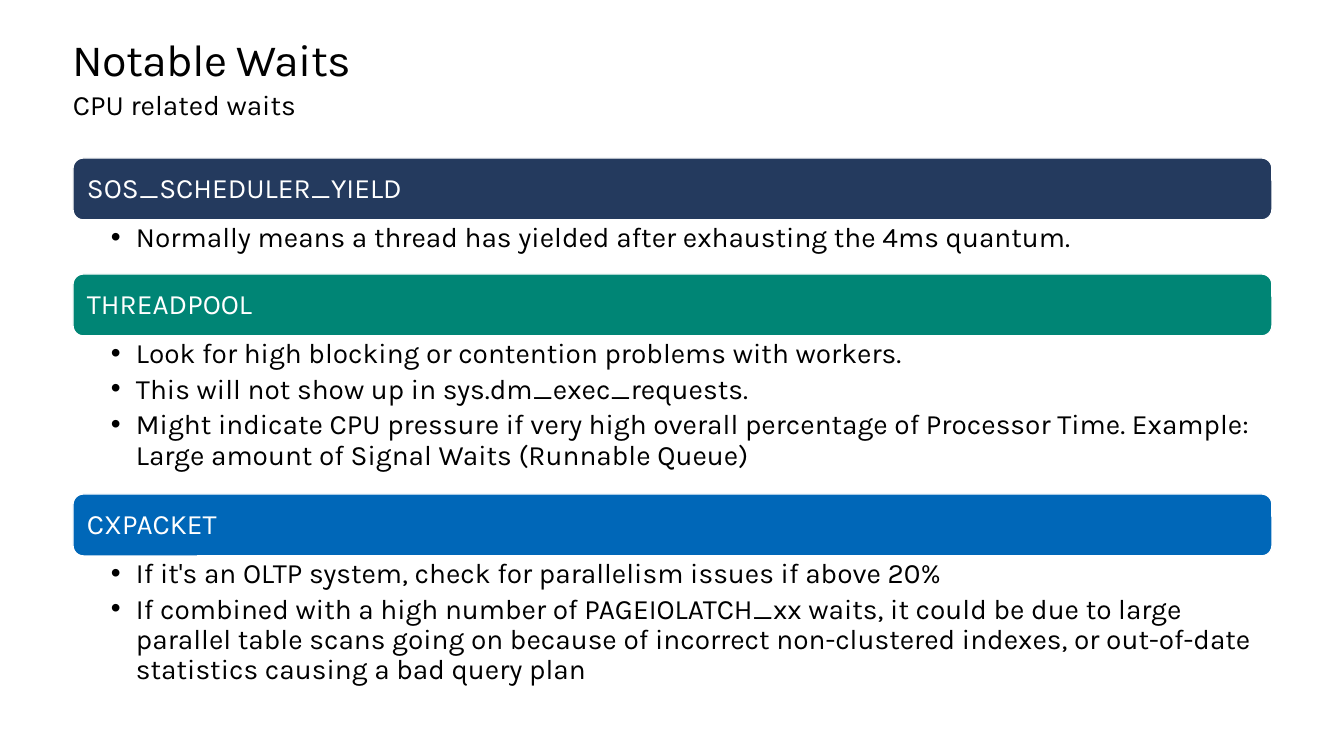
from dataclasses import dataclass

from lxml import etree
from pptx import Presentation
from pptx.dml.color import RGBColor
from pptx.enum.shapes import MSO_SHAPE
from pptx.enum.text import MSO_ANCHOR, MSO_AUTO_SIZE, PP_ALIGN
from pptx.oxml.ns import qn
from pptx.util import Pt

ROUND = MSO_SHAPE.ROUNDED_RECTANGLE
TOP, MIDDLE = MSO_ANCHOR.TOP, MSO_ANCHOR.MIDDLE
LEFT = PP_ALIGN.LEFT
FIXED = MSO_AUTO_SIZE.NONE
WIDE, HIGH = 1344, 756
SCALE = 12192000 / WIDE


@dataclass(frozen=True)
class Theme:
    face: str = "Karla"
    ink: str = "000000"
    paper: str = "FFFFFF"
    navy: str = "243A5E"
    green: str = "008575"
    blue: str = "0067B8"
    title: int = 32
    text: int = 20


THEME = Theme()
BAR = 62
COMPARE = 4
WAITS = [
    ("SOS_SCHEDULER_YIELD", THEME.navy, 54, [
        "Normally means a thread has yielded after exhausting the 4ms quantum.",
    ]),
    ("THREADPOOL", THEME.green, 158, [
        "Look for high blocking or contention problems with workers.",
        "This will not show up in sys.dm_exec_requests.",
        "Might indicate CPU pressure if very high overall percentage of "
        "Processor Time. Example: Large amount of Signal Waits (Runnable Queue)",
    ]),
    ("CXPACKET", THEME.blue, 147, [
        "If it's an OLTP system, check for parallelism issues if above 20%",
        "If combined with a high number of PAGEIOLATCH_xx waits, it could be "
        "due to large parallel table scans going on because of incorrect "
        "non-clustered indexes, or out-of-date statistics causing a bad query plan",
    ]),
]


def px(n):
    return round(n * SCALE)


def place(shape, box):
    shape.left, shape.top, shape.width, shape.height = map(px, box)


def setup(shape, pads=(0, 0, 0, 0), anchor=TOP):
    frame = shape.text_frame
    frame.word_wrap = True
    frame.auto_size = FIXED
    frame.vertical_anchor = anchor
    (frame.margin_left, frame.margin_top,
     frame.margin_right, frame.margin_bottom) = map(px, pads)
    return frame


def write(para, text, size, color):
    para.alignment = LEFT
    para.space_before = Pt(0)
    run = para.add_run()
    run.text = text
    font = run.font
    font.name = THEME.face
    font.size = Pt(size)
    font.bold = False
    font.color.rgb = RGBColor.from_string(color)
    return run


def bullet(para):
    para.level = 1
    para.line_spacing = 0.9
    para.space_after = Pt(4)
    props = para._p.get_or_add_pPr()
    props.set("marL", str(px(25)))
    props.set("indent", str(-px(25)))
    etree.SubElement(props, qn("a:buFont")).set("typeface", "Arial")
    etree.SubElement(props, qn("a:buChar")).set("char", "•")


def heading(title, sub, box):
    x, y, w, h = box
    place(title, (x, y, w, 51))
    para = setup(title).paragraphs[0]
    para.line_spacing = Pt(36.2)
    run = write(para, "Notable Waits", THEME.title, THEME.ink)
    run._r.get_or_add_rPr().set("spc", "-50")
    place(sub, (x, y + 52, w, h - 52))
    para = setup(sub).paragraphs[0]
    para.line_spacing = 1.0
    write(para, "CPU related waits", THEME.text, THEME.ink)


def section(slide, body, name, color, items, box):
    x, y, w, h = box
    bar = slide.shapes.add_shape(ROUND, *map(px, (x, y, w, BAR)))
    bar.shadow.inherit = False
    bar.fill.solid()
    bar.fill.fore_color.rgb = RGBColor.from_string(color)
    bar.line.color.rgb = RGBColor.from_string(THEME.paper)
    bar.line.width = Pt(1)
    para = setup(bar, (11, 8, 11, 8), MIDDLE).paragraphs[0]
    para.line_spacing = 0.9
    write(para, name, THEME.text, THEME.paper)
    place(body, (x, y + BAR, w, h - BAR))
    frame = setup(body, (38, 3, 16, 3))
    for i, item in enumerate(items):
        para = frame.add_paragraph() if i else frame.paragraphs[0]
        bullet(para)
        write(para, item, THEME.text, THEME.ink)


def main():
    deck = Presentation()
    deck.slide_width, deck.slide_height = px(WIDE), px(HIGH)
    slide = deck.slides.add_slide(deck.slide_layouts[COMPARE])
    holders = {p.placeholder_format.idx: p for p in slide.placeholders}
    x, y, w = 73, 158, 1199
    heading(holders[0], holders[1], (x, 35, w, 102))
    for idx, (name, color, tall, items) in enumerate(WAITS, 2):
        section(slide, holders[idx], name, color, items, (x, y, w, BAR + tall))
        y += BAR + tall
    deck.save("out.pptx")


if __name__ == "__main__":
    main()
